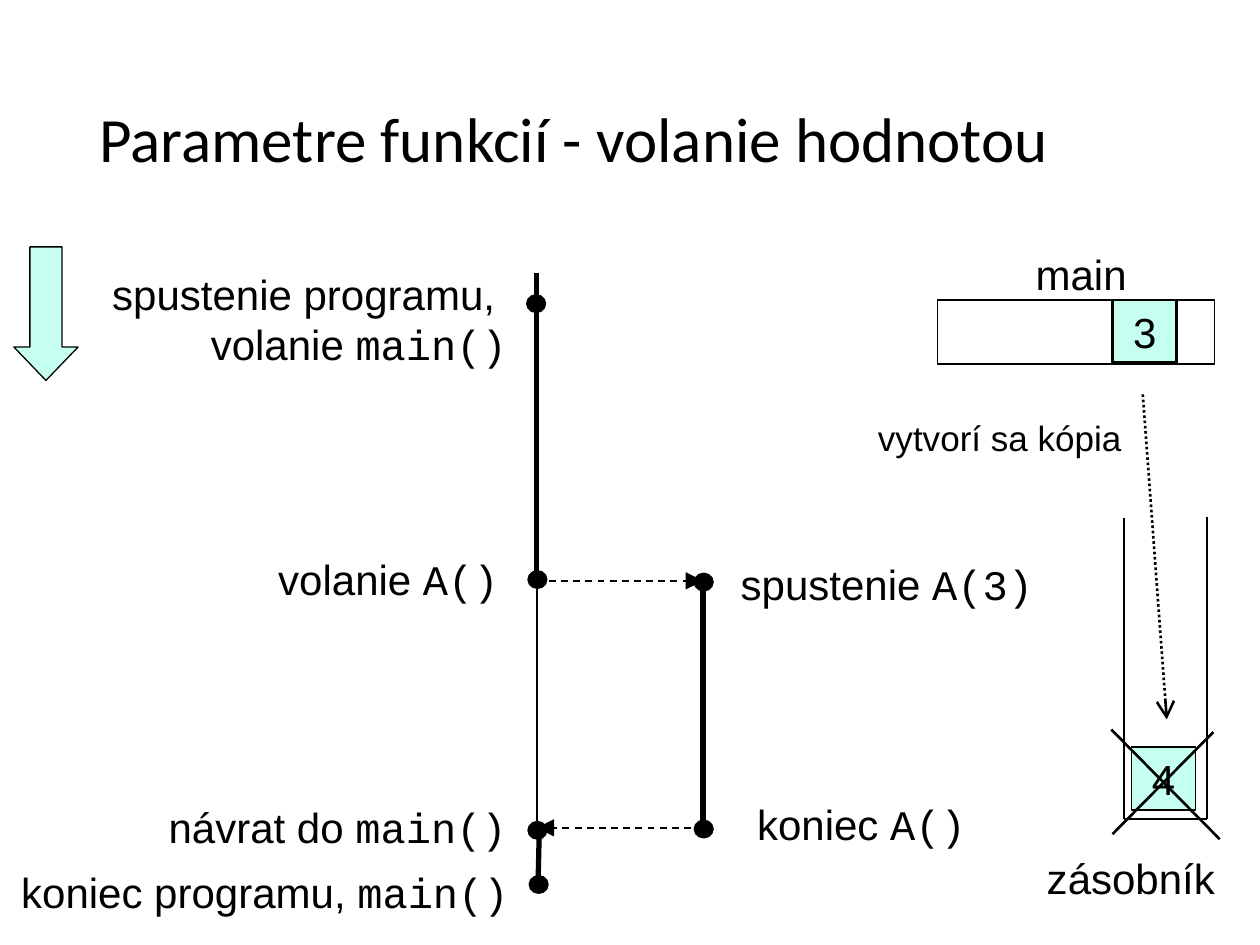
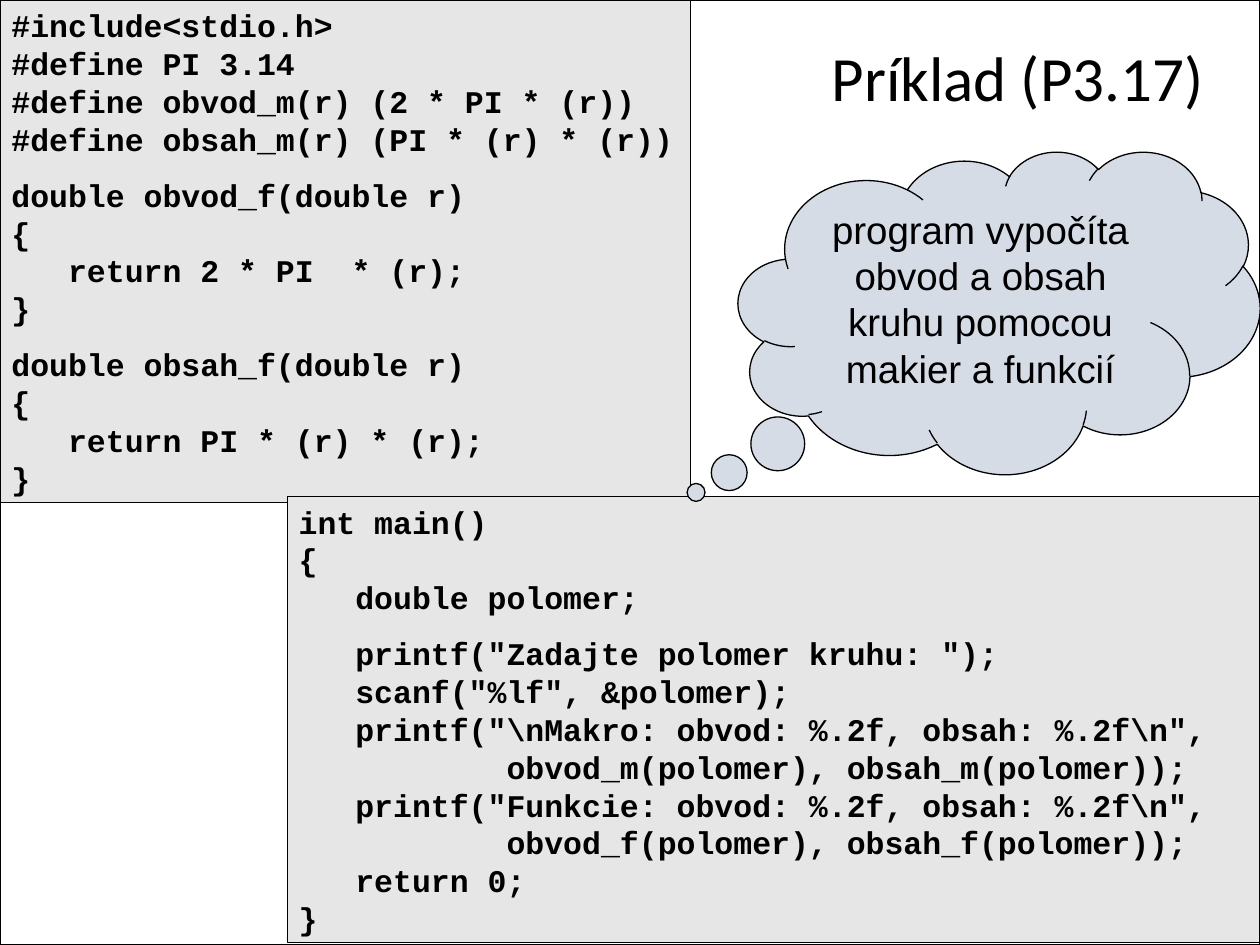
"""Build two slides on calling C functions by value and comparing macros with functions."""
from dataclasses import dataclass

from lxml import etree
from pptx import Presentation
from pptx.dml.color import RGBColor
from pptx.enum import dml, shapes, text
from pptx.oxml.ns import qn
from pptx.util import Inches, Pt


@dataclass(frozen=True)
class Theme:
    ink: RGBColor = RGBColor(0, 0, 0)
    paper: RGBColor = RGBColor(255, 255, 255)
    mint: RGBColor = RGBColor(0xC5, 0xFF, 0xF0)
    code_fill: RGBColor = RGBColor(0xE7, 0xE6, 0xE6)
    cloud_fill: RGBColor = RGBColor(0xD6, 0xDC, 0xE5)
    title_font: str = "Calibri"
    body_font: str = "Arial"
    code_font: str = "Courier New"
    title_size: int = 36
    label_size: int = 24
    cloud_size: int = 22
    note_size: int = 20
    code_size: int = 18
    code_gap: float = 10.5
    outline: float = 0.75


theme = Theme()
KIND = shapes.MSO_SHAPE
ALIGN = text.PP_ALIGN
ANCHOR = text.MSO_ANCHOR
BODY, CODE = theme.body_font, theme.code_font


def add_shape(slide, kind, box, fill):
    """Add a filled preset shape with a thin outline and no shadow."""
    shape = slide.shapes.add_shape(kind, *map(Inches, box))
    shape.shadow.inherit = False
    shape.fill.solid()
    shape.fill.fore_color.rgb = fill
    shape.line.color.rgb = theme.ink
    shape.line.width = Pt(theme.outline)
    return shape


def write_text(shape, lines, size, align=ALIGN.LEFT, anchor=ANCHOR.TOP, bold=False):
    """Write lines of (text, font) pieces; an empty line becomes space before the next one."""
    frame = shape.text_frame
    frame.word_wrap = True
    frame.vertical_anchor = anchor
    paragraph, gap = None, False
    for line in lines:
        if not line:
            gap = True
            continue
        paragraph = frame.add_paragraph() if paragraph else frame.paragraphs[0]
        paragraph.alignment = align
        if gap:
            paragraph.space_before = Pt(theme.code_gap)
            gap = False
        for piece, font_name in line:
            run = paragraph.add_run()
            run.text = piece
            run.font.name = font_name
            run.font.size = Pt(size)
            run.font.bold = bold
            run.font.color.rgb = theme.ink


presentation = Presentation()
presentation.slide_width = Inches(10)
presentation.slide_height = Inches(7.5)

slides = []
for heading, box in [
    ("Parametre funkcií - volanie hodnotou", (0.69, 0.4, 8.63, 1.45)),
    ("Príklad (P3.17)", (6.5, 0.23, 3.26, 0.83)),
]:
    slide = presentation.slides.add_slide(presentation.slide_layouts[5])
    title = slide.shapes.title
    title.left, title.top, title.width, title.height = map(Inches, box)
    title.text_frame.auto_size = text.MSO_AUTO_SIZE.NONE
    write_text(title, [[(heading, theme.title_font)]], theme.title_size, anchor=ANCHOR.MIDDLE)
    title.text_frame.paragraphs[0].line_spacing = 0.9
    slides.append(slide)
call_slide, example_slide = slides

time_arrow = add_shape(call_slide, KIND.DOWN_ARROW, (0.11, 1.96, 0.51, 1.06), theme.mint)
time_arrow.adjustments[0] = 0.5
time_arrow.adjustments[1] = 0.52

add_shape(call_slide, KIND.RECTANGLE, (7.44, 2.38, 2.2, 0.51), theme.paper)
for value, left, top, width in [("3", 8.83, 2.38, 1.5), ("4", 8.98, 5.93, theme.outline)]:
    cell = add_shape(call_slide, KIND.RECTANGLE, (left, top, 0.51, 0.5), theme.mint)
    cell.line.width = Pt(width)
    write_text(cell, [[(value, BODY)]], theme.label_size, ALIGN.CENTER, ANCHOR.MIDDLE)

DASH, DOT = dml.MSO_LINE.DASH, dml.MSO_LINE.ROUND_DOT
main_x, function_x = 4.26, 5.58
for start, end, width, dash, head in [
    ((function_x, 4.59), (function_x, 6.56), 3, None, None),
    ((main_x, 4.6), (main_x, 6.56), 1, None, None),
    ((main_x, 4.61), (function_x, 4.61), 1, DASH, "triangle"),
    ((function_x, 6.57), (main_x, 6.57), 1, DASH, "triangle"),
    ((4.28, 6.6), (4.27, 7.03), 3, None, None),
    ((main_x, 2.17), (main_x, 4.62), 3, None, None),
    ((9.58, 4.1), (9.58, 6.5), theme.outline, None, None),
    ((8.92, 4.11), (8.92, 6.5), theme.outline, None, None),
    ((9.58, 6.5), (8.92, 6.5), theme.outline, None, None),
    ((8.82, 5.79), (9.68, 6.66), 1.5, None, None),
    ((8.83, 6.62), (9.63, 5.81), 1.5, None, None),
    ((9.07, 3.13), (9.26, 5.71), 1.5, DOT, "arrow"),
]:
    connector = call_slide.shapes.add_connector(
        shapes.MSO_CONNECTOR.STRAIGHT, *map(Inches, start + end))
    connector.line.color.rgb = theme.ink
    connector.line.width = Pt(width)
    if dash:
        connector.line.dash_style = dash
    properties = connector.element.spPr
    if head:
        etree.SubElement(properties.find(qn("a:ln")), qn("a:tailEnd"), type=head, w="lg", len="lg")
    etree.SubElement(properties, qn("a:effectLst"))

for left, top in [(4.18, 2.34), (4.19, 4.53), (5.51, 4.55), (4.2, 6.95), (4.19, 6.52), (5.51, 6.51)]:
    add_shape(call_slide, KIND.OVAL, (left, top, 0.15, 0.14), theme.ink)

for box, lines, size, align in [
    ((0.59, 2.08, 3.53, 0.9),
     [[("spustenie programu, ", BODY)], [("volanie ", BODY), ("main()", CODE)]],
     theme.label_size, ALIGN.RIGHT),
    ((2.11, 4.34, 2.05, 0.5), [[("volanie ", BODY), ("A()", CODE)]], theme.label_size, ALIGN.LEFT),
    ((5.78, 4.38, 2.72, 0.5), [[("spustenie ", BODY), ("A(3)", CODE)]], theme.label_size, ALIGN.LEFT),
    ((1.24, 6.31, 2.98, 0.5), [[("návrat do ", BODY), ("main()", CODE)]], theme.label_size, ALIGN.LEFT),
    ((0.07, 6.83, 4.17, 0.5), [[("koniec programu, ", BODY), ("main()", CODE)]],
     theme.label_size, ALIGN.LEFT),
    ((5.91, 6.29, 2.05, 0.5), [[("koniec ", BODY), ("A()", CODE)]], theme.label_size, ALIGN.LEFT),
    ((7.47, 1.92, 2.22, 0.5), [[("main", BODY)]], theme.label_size, ALIGN.CENTER),
    ((6.77, 3.26, 2.33, 0.44), [[("vytvorí sa kópia", BODY)]], theme.note_size, ALIGN.CENTER),
    ((8.11, 6.72, 1.73, 0.5), [[("zásobník", BODY)]], theme.label_size, ALIGN.CENTER),
]:
    label = call_slide.shapes.add_textbox(*map(Inches, box))
    write_text(label, lines, size, align)

frame_box = add_shape(example_slide, KIND.RECTANGLE, (0, 0, 10, 7.5), theme.paper)
example_slide.shapes.title.element.addprevious(frame_box.element)

definitions = r"""#include<stdio.h>
#define PI 3.14
#define obvod_m(r) (2 * PI * (r))
#define obsah_m(r) (PI * (r) * (r))

double obvod_f(double r)
{
   return 2 * PI  * (r);
}

double obsah_f(double r)
{
   return PI * (r) * (r);
}"""

main_function = r"""int main()
{
   double polomer;

   printf("Zadajte polomer kruhu: ");
   scanf("%lf", &polomer);
   printf("\nMakro: obvod: %.2f, obsah: %.2f\n",
           obvod_m(polomer), obsah_m(polomer));
   printf("Funkcie: obvod: %.2f, obsah: %.2f\n",
           obvod_f(polomer), obsah_f(polomer));
   return 0;
}"""

for box, code in [((0, 0, 5.48, 3.99), definitions), ((2.28, 3.94, 7.72, 3.54), main_function)]:
    panel = add_shape(example_slide, KIND.RECTANGLE, box, theme.code_fill)
    panel.text_frame.margin_left = panel.text_frame.margin_right = Inches(0.09)
    code_lines = [[(line, CODE)] if line else [] for line in code.splitlines()]
    write_text(panel, code_lines, theme.code_size, bold=True)

cloud = add_shape(example_slide, KIND.CLOUD_CALLOUT, (5.86, 1.2, 4.14, 2.56), theme.cloud_fill)
cloud.adjustments[0] = -0.581
cloud.adjustments[1] = 0.558
cloud.text_frame.margin_left = cloud.text_frame.margin_right = Inches(0.09)
write_text(cloud, [[("program vypočíta obvod a obsah kruhu pomocou makier a funkcií", BODY)]],
           theme.cloud_size, ALIGN.CENTER)

presentation.save("out.pptx")
